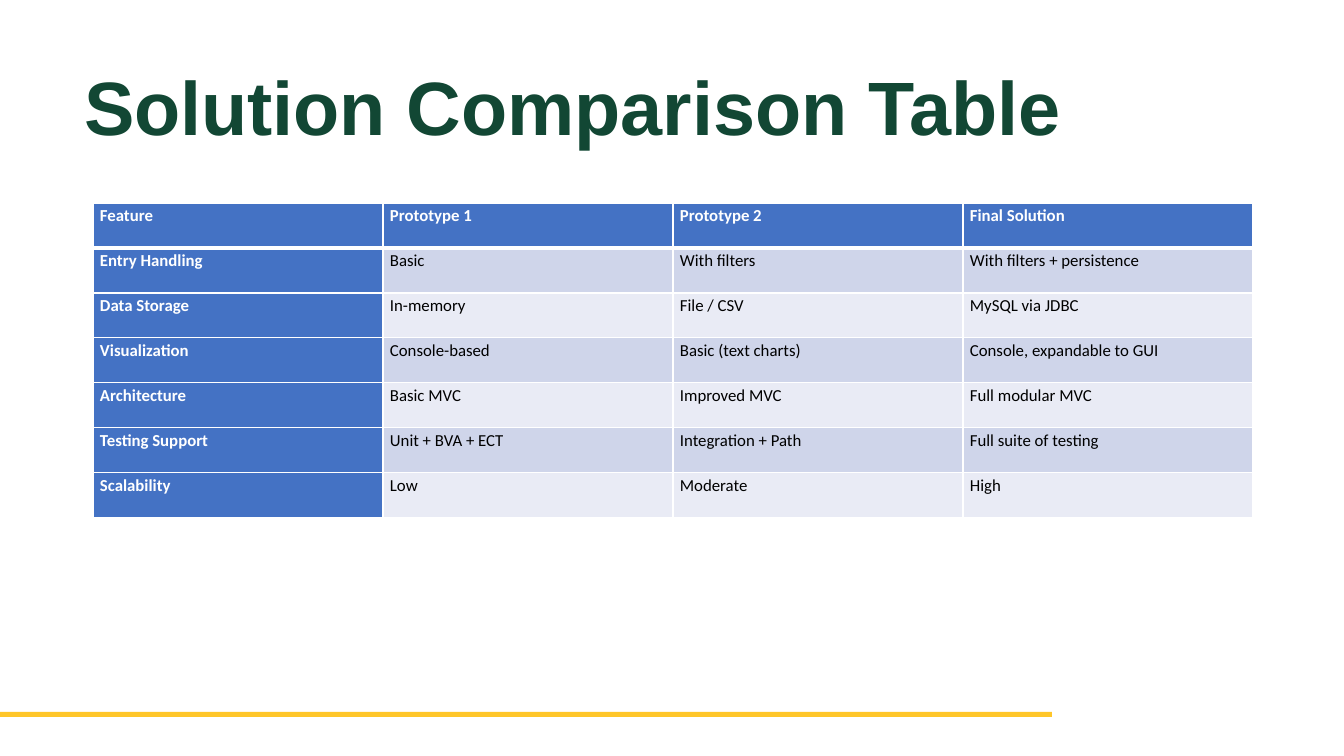
from lxml import etree
from pptx import Presentation
from pptx.dml.color import RGBColor
from pptx.enum.shapes import MSO_SHAPE
from pptx.enum.text import MSO_ANCHOR, MSO_AUTO_SIZE, PP_ALIGN
from pptx.oxml.ns import qn
from pptx.util import Emu, Pt

RECTANGLE = MSO_SHAPE.RECTANGLE
TOP = MSO_ANCHOR.TOP
LEFT = PP_ALIGN.LEFT
NO_AUTOFIT = MSO_AUTO_SIZE.NONE

WHITE = RGBColor(0xFF, 0xFF, 0xFF)
BLACK = RGBColor(0x00, 0x00, 0x00)
GREEN = RGBColor(0x12, 0x47, 0x34)
GOLD = RGBColor(0xFF, 0xC6, 0x29)
BLUE = RGBColor(0x44, 0x72, 0xC4)
BANDS = (RGBColor(0xCF, 0xD5, 0xEA), RGBColor(0xE9, 0xEB, 0xF5))

TITLE = "Solution Comparison Table"
ROWS = [
    ("Feature", "Prototype 1", "Prototype 2", "Final Solution"),
    ("Entry Handling", "Basic", "With filters", "With filters + persistence"),
    ("Data Storage", "In-memory", "File / CSV", "MySQL via JDBC"),
    ("Visualization", "Console-based", "Basic (text charts)", "Console, expandable to GUI"),
    ("Architecture", "Basic MVC", "Improved MVC", "Full modular MVC"),
    ("Testing Support", "Unit + BVA + ECT", "Integration + Path", "Full suite of testing"),
    ("Scalability", "Low", "Moderate", "High"),
]

PAGE_SIZE = (1344, 756)
TITLE_BOX = (74, 65, 1196, 83)
FOOTER_BAR = (0, 712, 1052, 5)
TABLE_LEFT, TABLE_TOP = 93, 203
COLUMN_WIDTH, ROW_HEIGHT = 290, 45
CELL_MARGIN = 7


def px(length):
    return Emu(round(length * 914400 / 100.8))


def add_span(para, text, font, size, color, bold):
    span = para.add_run()
    span.text = text
    span.font.name = font
    span.font.size = Pt(size)
    span.font.color.rgb = color
    span.font.bold = bold


def set_borders(cell, widths):
    """Draw white cell edges; widths maps L, R, T and B, in that order, to points."""
    properties = cell._tc.get_or_add_tcPr()
    for index, (side, width) in enumerate(widths.items()):
        line = etree.Element(qn(f"a:ln{side}"), w=str(Pt(width)))
        fill = etree.SubElement(line, qn("a:solidFill"))
        etree.SubElement(fill, qn("a:srgbClr"), val=str(WHITE))
        properties.insert(index, line)


def add_title(page):
    title = page.shapes.title
    title.left, title.top, title.width, title.height = map(px, TITLE_BOX)
    frame = title.text_frame
    frame.word_wrap = True
    frame.auto_size = NO_AUTOFIT
    frame.vertical_anchor = TOP
    para = frame.paragraphs[0]
    para.alignment = LEFT
    para.line_spacing = 0.9
    add_span(para, TITLE, "Arial", 54, GREEN, True)


def add_footer_bar(page):
    bar = page.shapes.add_shape(RECTANGLE, *map(px, FOOTER_BAR))
    bar.shadow.inherit = False
    bar.fill.solid()
    bar.fill.fore_color.rgb = GOLD
    bar.line.fill.background()


def fill_cell(cell, text, row, column):
    is_header = row == 0 or column == 0
    cell.fill.solid()
    cell.fill.fore_color.rgb = BLUE if is_header else BANDS[(row - 1) % 2]
    cell.margin_left = cell.margin_right = px(CELL_MARGIN)
    cell.margin_top = cell.margin_bottom = 0
    top = 3 if row == 1 else 1
    bottom = 3 if row == 0 else 1
    set_borders(cell, {"L": 1, "R": 1, "T": top, "B": bottom})
    para = cell.text_frame.paragraphs[0]
    para.line_spacing = 1.15
    para.space_after = Pt(8)
    add_span(para, text, "Calibri", 12, WHITE if is_header else BLACK, is_header)


def add_comparison_table(page):
    row_count, column_count = len(ROWS), len(ROWS[0])
    frame = page.shapes.add_table(
        row_count, column_count, px(TABLE_LEFT), px(TABLE_TOP),
        px(column_count * COLUMN_WIDTH), px(row_count * ROW_HEIGHT))
    table = frame.table
    for column in table.columns:
        column.width = px(COLUMN_WIDTH)
    for row, texts in enumerate(ROWS):
        table.rows[row].height = px(ROW_HEIGHT)
        for column, text in enumerate(texts):
            fill_cell(table.cell(row, column), text, row, column)


def main():
    deck = Presentation()
    deck.slide_width, deck.slide_height = map(px, PAGE_SIZE)
    page = deck.slides.add_slide(deck.slide_layouts[5])
    add_footer_bar(page)
    add_title(page)
    add_comparison_table(page)
    deck.save("out.pptx")


if __name__ == "__main__":
    main()
